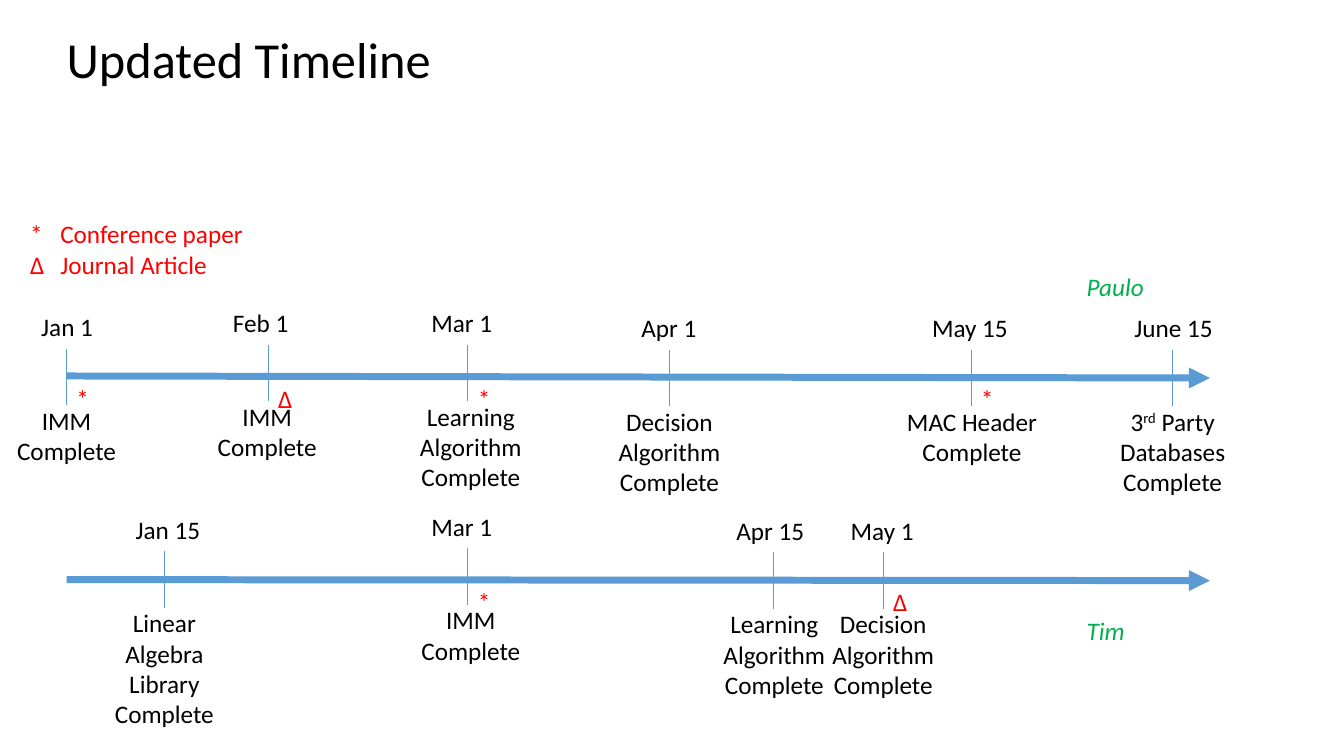
from lxml.etree import SubElement
from pptx import Presentation
from pptx.dml.color import RGBColor
from pptx.enum.shapes import MSO_CONNECTOR
from pptx.enum.text import MSO_ANCHOR, MSO_AUTO_SIZE, PP_ALIGN
from pptx.oxml.ns import qn
from pptx.util import Pt

PX = 9144  # 100 px to the inch
BLACK, RED, GREEN, BLUE = "000000", "FF0000", "00B050", "5B9BD5"

deck = Presentation()
deck.slide_width, deck.slide_height = 1333 * PX, 750 * PX
slide = deck.slides.add_slide(deck.slide_layouts[5])


def write(frame, text, color, size=18, align=PP_ALIGN.LEFT, italic=False):
    """Fill a frame, one paragraph per line; ^...^ marks superscript."""
    frame.word_wrap = True
    frame.auto_size = MSO_AUTO_SIZE.SHAPE_TO_FIT_TEXT
    frame.vertical_anchor = MSO_ANCHOR.TOP
    for number, line in enumerate(text.split("\n")):
        paragraph = frame.add_paragraph() if number else frame.paragraphs[0]
        paragraph.alignment = align
        for part, words in enumerate(line.split("^")):
            run = paragraph.add_run()
            run.text = words
            run.font.name, run.font.size = "Calibri", Pt(size)
            run.font.italic = italic
            run.font.color.rgb = RGBColor.from_string(color)
            if part % 2:
                run.font._element.set("baseline", "30000")


def draw_line(x1, y1, x2, y2, width):
    line = slide.shapes.add_connector(
        MSO_CONNECTOR.STRAIGHT, x1 * PX, y1 * PX, x2 * PX, y2 * PX)
    line.line.color.rgb = RGBColor.from_string(BLUE)
    line.line.width = Pt(width)
    SubElement(line._element.spPr, qn("a:effectLst"))
    return line


title = slide.shapes.title
title.left, title.top, title.width, title.height = 0, 23 * PX, 1167 * PX, 71 * PX
write(title.text_frame, "Updated Timeline", BLACK, size=36)
title.text_frame.margin_left = 66 * PX

# axis start y, axis end y, milestones:
# (tick x, tick top, date, date left, date width, result, result left, paper mark)
timelines = [
    (373, 375, [
        (66, 346, "Jan 1", 29, 75, "IMM Complete", -15, "*"),
        (266, 342, "Feb 1", 221, 75, "IMM Complete", 184, "Δ"),
        (464, 342, "Mar 1", 415, 86, "Learning\nAlgorithm\nComplete", 386, "*"),
        (664, 347, "Apr 1", 620, 87, "Decision Algorithm Complete", 583, ""),
        (963, 347, "May 15", 907, 110, "MAC Header Complete", 883, "*"),
        (1163, 347, "June 15", 1103, 122, "3^rd^ Party Databases Complete", 1082, ""),
    ]),
    (575, 576, [
        (163, 547, "Jan 15", 120, 93, "Linear Algebra Library Complete", 82, ""),
        (464, 544, "Mar 1", 415, 86, "IMM\nComplete", 386, "*"),
        (767, 548, "Apr 15", 717, 94, "Learning Algorithm Complete", 687, ""),
        (876, 548, "May 1", 820, 110, "Decision Algorithm Complete", 795, "Δ"),
    ]),
]

# left, top, width, height, text, colour, alignment, italic
captions = [
    (1068, 264, 256, 40, "Paulo", GREEN, PP_ALIGN.LEFT, True),
    (1068, 606, 256, 40, "Tim", GREEN, PP_ALIGN.LEFT, True),
]

for axis_start, axis_end, milestones in timelines:
    axis = draw_line(66, axis_start, 1200, axis_end, 5)
    SubElement(axis.line._get_or_add_ln(), qn("a:tailEnd"), type="triangle")
    for x, top, date, date_left, date_width, result, result_left, mark in milestones:
        draw_line(x, top, x, top + 56, 0.5)
        lines = len(result.replace("^ Party", "").split())
        if result.startswith("MAC"):
            lines = 2
        captions += [
            (date_left, top - 42, date_width, 40, date, BLACK, PP_ALIGN.CENTER, False),
            (result_left, top + 51, 162, 10 + 30 * lines, result, BLACK,
             PP_ALIGN.CENTER, False),
        ]
        if mark:
            captions.append((x, axis_start + 2, 35, 40, mark, RED, PP_ALIGN.LEFT, False))

for left, top, width, height, text, color, align, italic in captions:
    caption = slide.shapes.add_textbox(left * PX, top * PX, width * PX, height * PX)
    write(caption.text_frame, text, color, align=align, italic=italic)

legend = slide.shapes.add_textbox(20 * PX, 212 * PX, 256 * PX, 71 * PX)
write(legend.text_frame, "*\tConference paper\nΔ\tJournal Article", RED)
for entry in legend.text_frame.paragraphs:
    properties = entry._p.get_or_add_pPr()
    properties.set("marL", str(30 * PX))
    properties.set("indent", str(-30 * PX))

deck.save("out.pptx")
